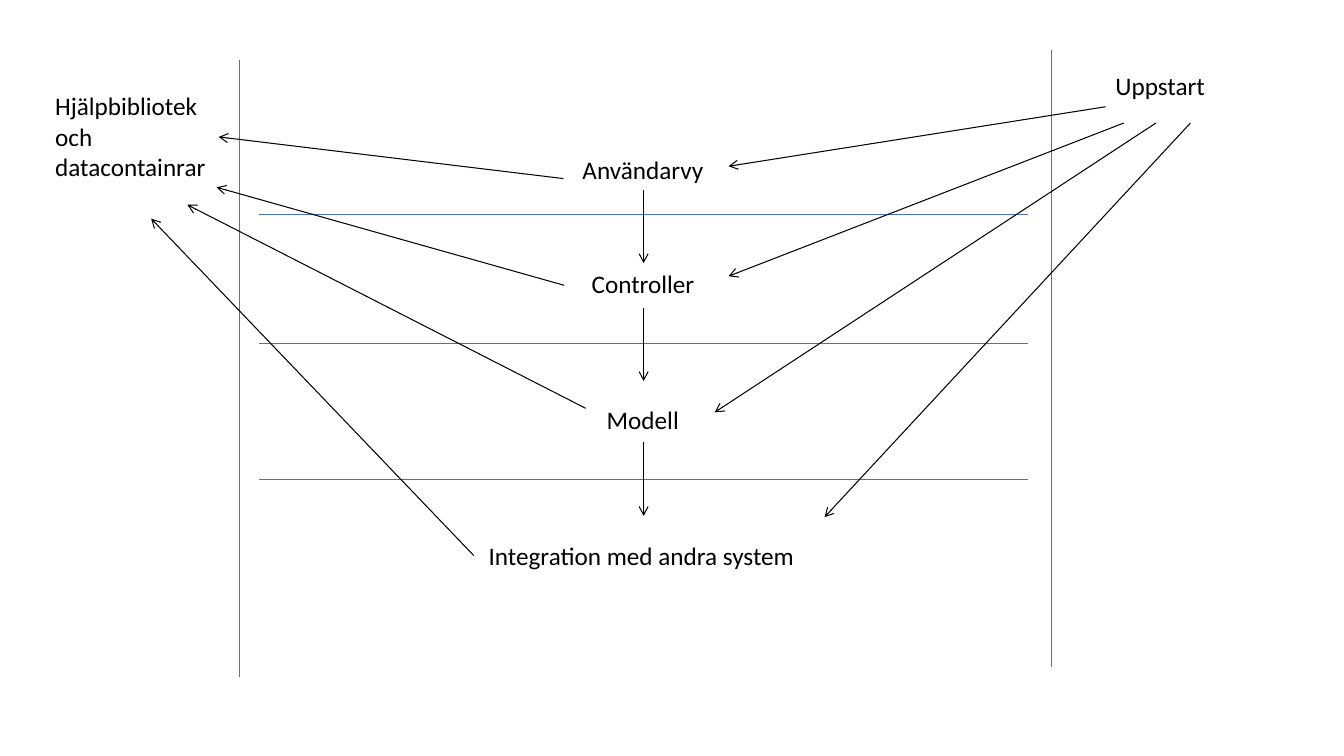
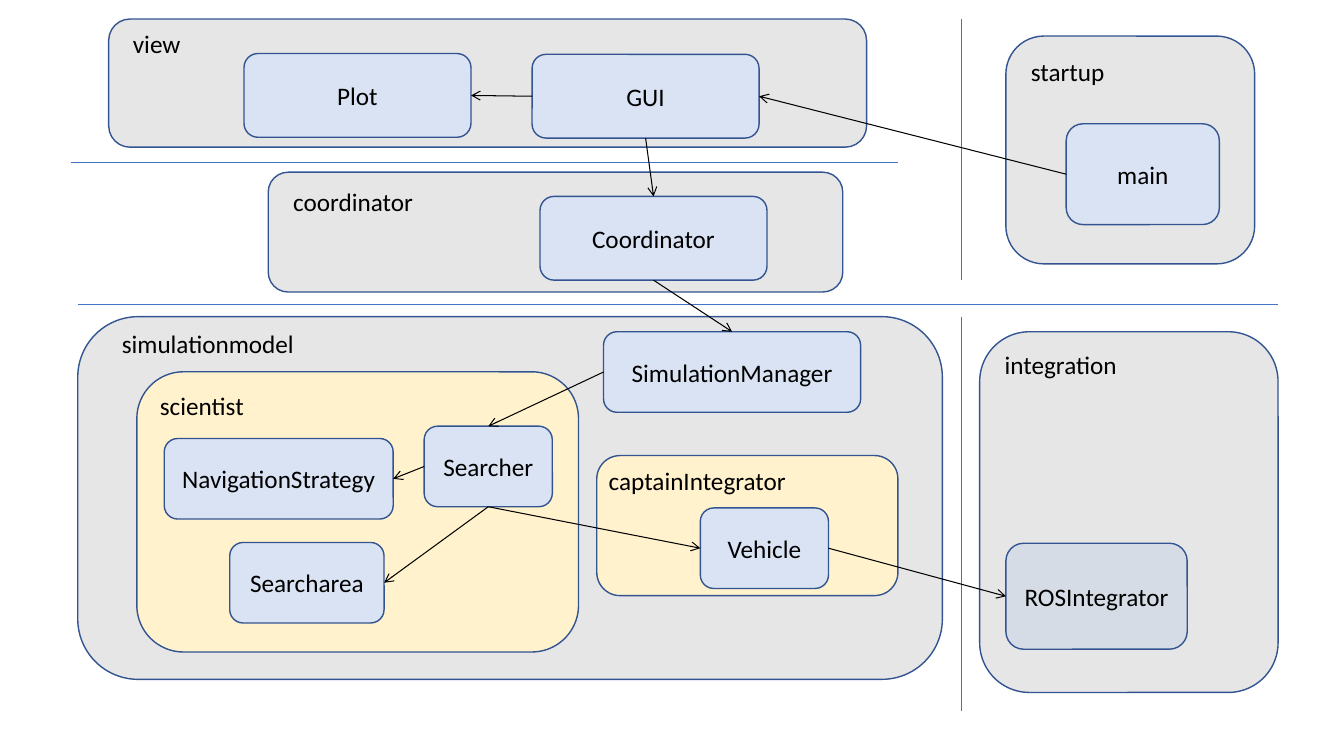
from dataclasses import dataclass

from lxml.etree import SubElement as add_tag
from pptx import Presentation as Deck
from pptx.dml.color import RGBColor as Color
from pptx.enum.shapes import MSO_CONNECTOR as Link, MSO_SHAPE as Form
from pptx.enum.text import MSO_ANCHOR as Anchor, MSO_AUTO_SIZE as Fit, PP_ALIGN as Align
from pptx.oxml.ns import qn
from pptx.util import Cm, Pt


@dataclass(frozen=True)
class Theme:
    font: str = "Calibri"
    size: float = 18
    ink: str = "000000"
    rule: str = "4472C4"
    edge: str = "325491"
    grey: str = "E7E6E6"
    cream: str = "FFF2CC"
    blue: str = "DAE3F3"
    slate: str = "D6DCE5"
    thin: float = 0.5
    mid: float = 0.75
    thick: float = 1


THEME = Theme()
ROW = 1.03

LAYERS = [
    ("Användarvy", 3.76, 3.58),
    ("Controller", 6.63, 3.12),
    ("Modell", 10.06, 2.36),
    ("Integration med andra system", 13.49, 8.31),
]
FANS = [
    (27.86, 2.69, 18.36, 4.19),
    (28.32, 3.1, 18.36, 6.96),
    (29.13, 3.1, 18.01, 10.39),
    (30, 3.1, 20.78, 13.03),
    (14.2, 4.5, 5.51, 3.45),
    (14.22, 7.19, 5.46, 4.72),
    (14.76, 10.29, 4.72, 5.16),
    (11.94, 14, 3.81, 5.51),
]

PANELS = [
    ("coordinator", (6.76, 4.34, 14.48, 3.02), THEME.grey, (7.14, 4.57, 3.56)),
    ("view", (2.74, 0.48, 19.1, 3.23), THEME.grey, (3.1, 0.58, 1.73)),
    ("simulationmodel", (1.96, 7.98, 21.79, 9.14), THEME.grey, (2.82, 8.15, 4.9)),
    ("scientist", (3.45, 9.37, 11.13, 7.06), THEME.cream, (3.78, 9.7, 2.62)),
    ("captainIntegrator", (15.04, 11.48, 7.59, 3.53), THEME.cream, (15.09, 11.61, 5.11)),
    ("integration", (24.69, 8.36, 7.52, 9.09), THEME.grey, (25.07, 8.69, 3.38)),
    ("startup", (25.35, 0.91, 6.27, 5.74), THEME.grey, (25.73, 1.3, 2.39)),
]
NODES = [
    ("GUI", (13.41, 1.37, 5.72, 2.11), THEME.blue),
    ("Plot", (6.15, 1.35, 5.72, 2.11), THEME.blue),
    ("Coordinator", (13.61, 4.95, 5.72, 2.11), THEME.blue),
    ("SimulationManager", (15.21, 8.36, 6.48, 2.03), THEME.blue),
    ("Searcher", (10.69, 10.74, 3.23, 2.03), THEME.blue),
    ("Vehicle", (17.65, 12.8, 3.23, 2.03), THEME.blue),
    ("NavigationStrategy", (4.14, 11.05, 5.77, 2.03), THEME.blue),
    ("Searcharea", (5.79, 13.67, 3.89, 2.03), THEME.blue),
    ("ROSIntegrator", (25.35, 13.69, 4.57, 2.67), THEME.slate),
    ("main", (26.87, 3.12, 3.86, 2.54), THEME.blue),
]
TOP, LEFT, BASE, RIGHT = range(4)
JOINS = [
    ("GUI", BASE, "Coordinator", TOP),
    ("GUI", LEFT, "Plot", RIGHT),
    ("Coordinator", BASE, "SimulationManager", TOP),
    ("SimulationManager", LEFT, "Searcher", TOP),
    ("Searcher", LEFT, "NavigationStrategy", RIGHT),
    ("Searcher", BASE, "Searcharea", RIGHT),
    ("Searcher", BASE, "Vehicle", LEFT),
    ("Vehicle", RIGHT, "ROSIntegrator", LEFT),
    ("main", LEFT, "GUI", RIGHT),
]
RULES = [
    (1.96, 7.67, 32.21, 7.67),
    (1.8, 4.09, 22.63, 4.09),
    (24.23, 7.98, 24.23, 17.91),
    (24.23, 0.48, 24.23, 7.06),
]


def write(frame, words):
    run = frame.paragraphs[0].add_run()
    run.text = words
    run.font.name = THEME.font
    run.font.size = Pt(THEME.size)
    run.font.color.rgb = Color.from_string(THEME.ink)


def label(slide, words, x, y, width, height=ROW, wrap=False):
    box = slide.shapes.add_textbox(Cm(x), Cm(y), Cm(width), Cm(height))
    frame = box.text_frame
    frame.word_wrap = wrap
    frame.auto_size = Fit.SHAPE_TO_FIT_TEXT
    write(frame, words)


def panel(slide, place, fill):
    shape = slide.shapes.add_shape(Form.ROUNDED_RECTANGLE, *map(Cm, place))
    shape.shadow.inherit = False
    shape.fill.solid()
    shape.fill.fore_color.rgb = Color.from_string(fill)
    shape.line.color.rgb = Color.from_string(THEME.edge)
    shape.line.width = Pt(THEME.thick)
    return shape


def node(slide, words, place, fill):
    shape = panel(slide, place, fill)
    frame = shape.text_frame
    frame.word_wrap = False
    frame.vertical_anchor = Anchor.MIDDLE
    frame.paragraphs[0].alignment = Align.CENTER
    write(frame, words)
    return shape


def stroke(slide, ends, color, width):
    line = slide.shapes.add_connector(Link.STRAIGHT, *map(Cm, ends))
    line.line.color.rgb = Color.from_string(color)
    line.line.width = Pt(width)
    add_tag(line.element.spPr, qn("a:effectLst"))
    return line


def rule(slide, *ends):
    stroke(slide, ends, THEME.rule, THEME.thin)


def arrow(slide, *ends):
    line = stroke(slide, ends, THEME.ink, THEME.mid)
    add_tag(line.element.spPr.find(qn("a:ln")), qn("a:tailEnd"), type="arrow")
    return line


def join(slide, start, out, stop, into):
    line = arrow(slide, 0, 0, 0, 0)
    line.begin_connect(start, out)
    line.end_connect(stop, into)


def layers(slide):
    for y in (5.41, 8.66, 12.09):
        rule(slide, 6.53, y, 25.91, y)
    for x, y in ((26.49, 1.27), (6.02, 1.52)):
        rule(slide, x, y, x, y + 15.54)
    axis = 16.22
    for words, y, width in LAYERS:
        label(slide, words, axis - width / 2, y, width)
    label(slide, "Uppstart", 27.86, 1.65, 2.79)
    label(slide, "Hjälpbibliotek och datacontainrar", 1.14, 2.16, 4.37, 2.57, True)
    for y in (4.78, 7.75, 11.15):
        arrow(slide, axis, y, axis, y + 1.85)
    for ends in FANS:
        arrow(slide, *ends)


def modules_map(slide):
    for words, place, fill, spot in PANELS:
        panel(slide, place, fill)
        label(slide, words, *spot)
    for ends in RULES:
        rule(slide, *ends)
    nodes = {words: node(slide, words, place, fill) for words, place, fill in NODES}
    for start, out, stop, into in JOINS:
        join(slide, nodes[start], out, nodes[stop], into)


def main():
    deck = Deck()
    deck.slide_width, deck.slide_height = Cm(33.87), Cm(19.05)
    blank = deck.slide_layouts[6]
    for draw in (layers, modules_map):
        draw(deck.slides.add_slide(blank))
    deck.save("out.pptx")


if __name__ == "__main__":
    main()
